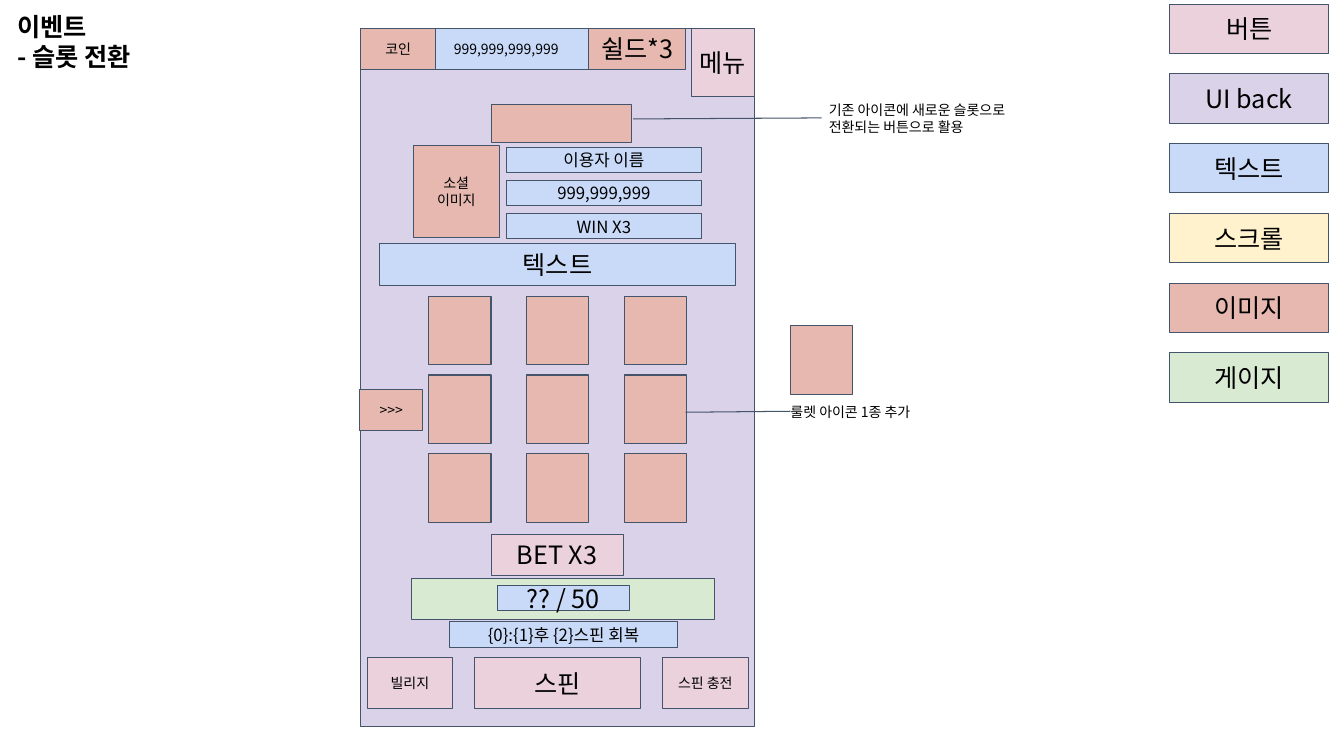
from pptx import Presentation
from pptx.dml.color import RGBColor
from pptx.enum import shapes, text
from pptx.oxml.ns import qn
from pptx.util import Inches, Pt

FONT = "Noto Sans CJK KR"
BUTTON, BACK, LABEL = "EAD1DC", "D9D2E9", "C9DAF8"
SCROLL, IMAGE, GAUGE = "FFF2CC", "E6B8AF", "D9EAD3"
LINE, BLACK = "44546A", "000000"
ICON_W, ICON_H, BAR_H = 0.62, 0.68, 0.41


def rgb(value):
    """Turn a hex string into a colour."""
    return RGBColor.from_string(value)


def write(sp, words, size=18, bold=False, align=text.PP_ALIGN.CENTER,
          anchor=text.MSO_ANCHOR.MIDDLE):
    """Fill a shape with one formatted paragraph per line of words."""
    tf = sp.text_frame
    tf.word_wrap = True
    tf.auto_size = text.MSO_AUTO_SIZE.NONE
    tf.vertical_anchor = anchor
    tf.margin_left = tf.margin_top = tf.margin_right = tf.margin_bottom = 0
    for i, line in enumerate(words.split("\n")):
        p = tf.paragraphs[0] if i == 0 else tf.add_paragraph()
        p.alignment = align
        r = p.add_run()
        r.text = line
        r.font.size, r.font.bold, r.font.name = Pt(size), bold, FONT
        r.font.color.rgb = rgb(BLACK)
        ea = r._r.get_or_add_rPr().makeelement(qn("a:ea"), {"typeface": FONT})
        r.font._rPr.find(qn("a:latin")).addnext(ea)


def add_box(parent, x, y, w, h, fill, words="", size=18):
    """Add an outlined rectangle with optional centred words."""
    sp = parent.add_shape(shapes.MSO_SHAPE.RECTANGLE,
                          Inches(x), Inches(y), Inches(w), Inches(h))
    sp.shadow.inherit = False
    sp.fill.solid()
    sp.fill.fore_color.rgb = rgb(fill)
    sp.line.color.rgb = rgb(LINE)
    sp.line.width = Pt(0.75)
    if words:
        write(sp, words, size)


def add_leader(parent, x1, y1, x2, y2):
    """Add a thin line between two points."""
    cx = parent.add_connector(shapes.MSO_CONNECTOR.STRAIGHT,
                              Inches(x1), Inches(y1), Inches(x2), Inches(y2))
    cx.line.color.rgb = rgb(LINE)
    cx.line.width = Pt(0.75)
    sp_pr = cx._element.spPr
    sp_pr.append(sp_pr.makeelement(qn("a:effectLst"), {}))


def add_note(parent, x, y, w, h, words):
    """Add a small left-aligned remark."""
    sp = parent.add_textbox(Inches(x), Inches(y), Inches(w), Inches(h))
    write(sp, words, 10, align=text.PP_ALIGN.LEFT)


def add_title(slide, x, y, w, h):
    """Place and format the slide title."""
    sp = slide.shapes.title
    sp.left, sp.top, sp.width, sp.height = map(Inches, (x, y, w, h))
    write(sp, "이벤트\n- 슬롯 전환", bold=True, align=text.PP_ALIGN.LEFT,
          anchor=text.MSO_ANCHOR.TOP)


def add_legend(slide, x, y, w, h):
    """Stack the colour key in one group."""
    kinds = [("버튼", BUTTON), ("UI back", BACK), ("텍스트", LABEL),
             ("스크롤", SCROLL), ("이미지", IMAGE), ("게이지", GAUGE)]
    row_h = 0.49
    step = (h - row_h) / (len(kinds) - 1)
    group = slide.shapes.add_group_shape()
    for i, (name, fill) in enumerate(kinds):
        add_box(group.shapes, x, y + i * step, w, row_h, fill, name)


def add_top_bar(slide, x, y, w):
    """Draw the menu, shield and coin bar."""
    sp = slide.shapes
    add_box(sp, x + w - ICON_W, y, ICON_W, ICON_H, BUTTON, "메뉴")
    add_box(sp, x + 2.26, y, 0.96, BAR_H, IMAGE, "쉴드*3")
    add_box(sp, x + 0.62, y, 1.64, BAR_H, LABEL, "999,999,999,999", 10)
    add_box(sp, x, y, 0.74, BAR_H, IMAGE, "코인", 10)


def add_profile(slide, x, y):
    """Draw the switch button, user picture, user lines and message."""
    sp = slide.shapes
    add_box(sp, x + 1.11, y, 1.39, 0.37, IMAGE)
    add_box(sp, x + 0.34, y + 0.4, 0.85, 0.92, IMAGE, "소셜\n이미지", 10)
    for i, words in enumerate(["이용자 이름", "999,999,999", "WIN X3"]):
        add_box(sp, x + 1.26, y + 0.42 + i * 0.33, 1.94, 0.25, LABEL, words, 12)
    add_box(sp, x, y + 1.38, 3.54, BAR_H, LABEL, "텍스트")


def add_reels(slide, x, y):
    """Draw the three by three slot icons."""
    for row in range(3):
        for col in range(3):
            add_box(slide.shapes, x + col * 0.97, y + row * 0.78,
                    ICON_W, ICON_H, IMAGE)


def add_controls(slide, x, y):
    """Draw the bet, gauge and spin controls."""
    sp = slide.shapes
    add_box(sp, x + 1.23, y, 1.31, BAR_H, BUTTON, "BET X3")
    add_box(sp, x + 0.44, y + 0.44, 3.01, BAR_H, GAUGE)
    add_box(sp, x + 1.29, y + 0.51, 1.31, 0.25, LABEL, "?? / 50")
    add_box(sp, x + 0.82, y + 0.87, 2.26, 0.25, LABEL, "{0}:{1}후 {2}스핀 회복", 12)
    for dx, w, words, size in [(0, 0.85, "빌리지", 10), (1.07, 1.64, "스핀", 18),
                               (2.93, 0.85, "스핀 충전", 10)]:
        add_box(sp, x + dx, y + 1.22, w, 0.51, BUTTON, words, size)


def add_phone(slide, x, y, w, h):
    """Draw the game screen and its regions."""
    add_box(slide.shapes, x, y, w, h, BACK)
    add_top_bar(slide, x, y, w)
    add_profile(slide, x + 0.18, y + 0.76)
    add_reels(slide, x + 0.67, y + 2.66)
    add_box(slide.shapes, x - 0.01, y + 3.58, ICON_W, BAR_H, IMAGE, ">>>", 10)
    add_controls(slide, x + 0.06, y + 5.02)


def add_remarks(slide, x, y, w):
    """Draw the remarks beside the game screen."""
    sp = slide.shapes
    add_leader(sp, x - 1.56, y + 0.25, x + 0.31, y + 0.24)
    add_note(sp, x + 0.38, y, w, 0.49, "기존 아이콘에 새로운 슬롯으로 전환되는 버튼으로 활용")
    add_box(sp, x, y + 2.3, ICON_W, ICON_H, IMAGE)
    add_leader(sp, x - 1.04, y + 3.16, x, y + 3.15)
    add_note(sp, x, y + 2.91, w, 0.49, "룰렛 아이콘 1종 추가")


def main():
    """Build and save the slide."""
    prs = Presentation()
    prs.slide_width, prs.slide_height = Inches(13.33), Inches(7.5)
    slide = prs.slides.add_slide(prs.slide_layouts[5])
    add_title(slide, 0.17, 0.11, 2.62, 1.18)
    add_legend(slide, 11.6, 0.04, 1.58, 3.95)
    add_phone(slide, 3.58, 0.28, 3.9, 6.93)
    add_remarks(slide, 7.84, 0.93, 1.92)
    prs.save("out.pptx")


if __name__ == "__main__":
    main()
